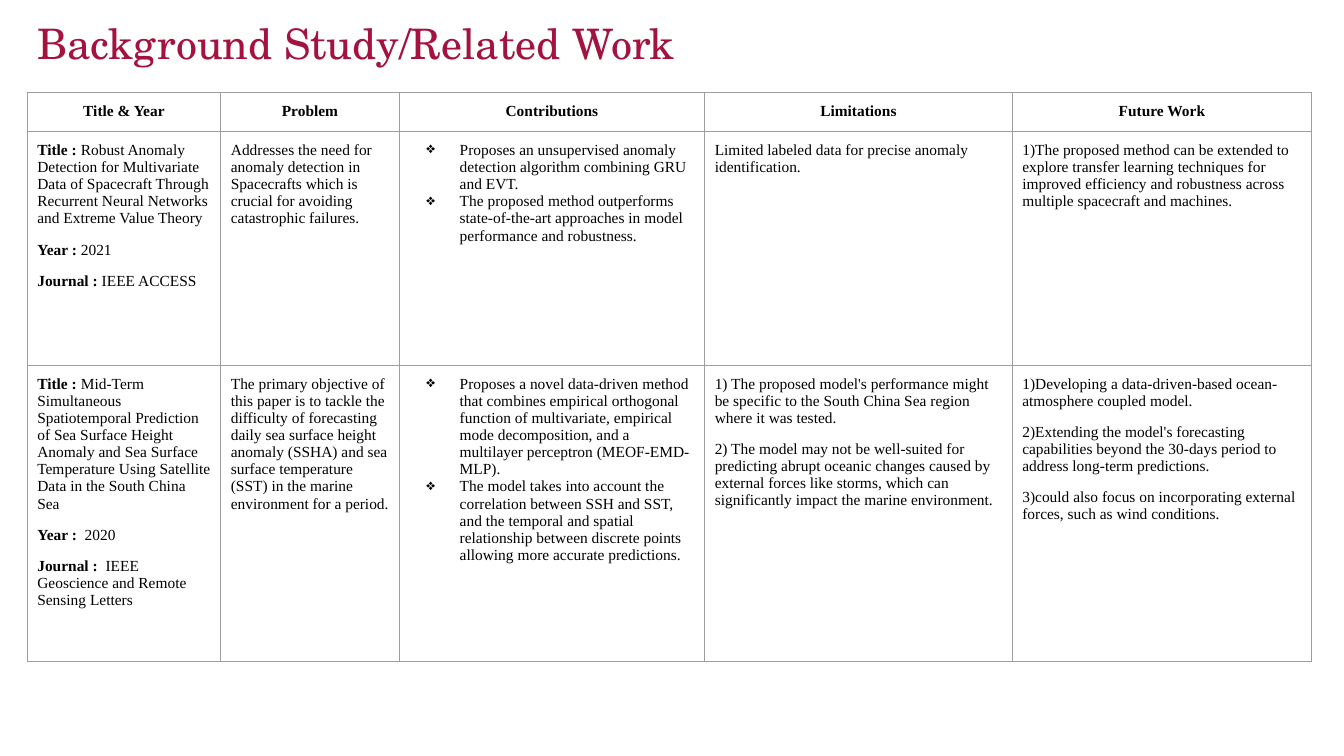
from dataclasses import dataclass

from lxml.etree import SubElement
from pptx import Presentation
from pptx.dml.color import RGBColor
from pptx.enum.text import MSO_ANCHOR as Anchor, PP_ALIGN as Align
from pptx.oxml.ns import qn
from pptx.util import Emu, Pt

PX = 9144
CRIMSON = RGBColor(0xA4, 0x12, 0x3F)
BLACK = RGBColor(0x00, 0x00, 0x00)
GREY = RGBColor(0x9E, 0x9E, 0x9E)
TITLE_FONT = "TeX Gyre Schola"
TABLE_FONT = "Times New Roman"
COLUMN_WIDTHS = (192, 177, 303, 305, 297)
ROW_HEIGHTS = (38, 232, 294)
HEADERS = ("Title & Year", "Problem", "Contributions", "Limitations", "Future Work")


@dataclass(frozen=True)
class Study:
    """One reviewed paper, which fills one row of the table."""
    reference: tuple[tuple[str, str], ...]
    problem: str
    contributions: tuple[str, ...]
    limitations: tuple[str, ...]
    future_work: tuple[str, ...]


STUDIES = (
    Study(
        (("Title : ", "Robust Anomaly Detection for Multivariate Data of Spacecraft Through "
          "Recurrent Neural Networks and Extreme Value Theory"),
         ("Year : ", "2021"),
         ("Journal : ", "IEEE ACCESS")),
        "Addresses the need for anomaly detection in Spacecrafts which is crucial for "
        "avoiding catastrophic failures.",
        ("Proposes an unsupervised anomaly detection algorithm combining GRU and EVT.",
         "The proposed method outperforms state-of-the-art approaches in model "
         "performance and robustness."),
        ("Limited labeled data for precise anomaly identification.",),
        ("1)The proposed method can be extended to explore transfer learning techniques for "
         "improved efficiency and robustness across multiple spacecraft and machines.",),
    ),
    Study(
        (("Title : ", "Mid-Term Simultaneous Spatiotemporal Prediction of Sea Surface Height "
          "Anomaly and Sea Surface Temperature Using Satellite Data in the South China Sea"),
         ("Year :  ", "2020"),
         ("Journal :  ", "IEEE Geoscience and Remote Sensing Letters")),
        "The primary objective of this paper is to tackle the difficulty of forecasting "
        "daily sea surface height anomaly (SSHA) and sea surface temperature (SST) in the "
        "marine environment for a period.",
        ("Proposes a novel data-driven method that combines empirical orthogonal function of "
         "multivariate, empirical mode decomposition, and a multilayer perceptron "
         "(MEOF-EMD-MLP).",
         "The model takes into account the correlation between SSH and SST, and the temporal "
         "and spatial relationship between discrete points allowing more accurate "
         "predictions."),
        ("1) The proposed model's performance might be specific to the South China Sea region "
         "where it was tested.",
         "2) The model may not be well-suited for predicting abrupt oceanic changes caused by "
         "external forces like storms, which can significantly impact the marine "
         "environment."),
        ("1)Developing a data-driven-based ocean- atmosphere coupled model.",
         "2)Extending the model's forecasting capabilities beyond the 30-days period to "
         "address long-term predictions.",
         "3)could also focus on incorporating external forces, such as wind conditions."),
    ),
)


def px(length: int) -> Emu:
    """Turn px into EMU."""
    return Emu(length * PX)


def style_font(para, name: str, size: int, colour: RGBColor) -> None:
    """Set the font that all runs of a paragraph share."""
    para.font.name = name
    para.font.size = Pt(size)
    para.font.color.rgb = colour


def add_bullet(para) -> None:
    """Give a paragraph a hanging diamond bullet."""
    properties = para._p.get_or_add_pPr()
    properties.set("marL", str(px(50)))
    properties.set("indent", str(-px(33)))
    colour = SubElement(properties, qn("a:buClr"))
    SubElement(colour, qn("a:srgbClr"), val=str(BLACK))
    SubElement(properties, qn("a:buChar"), char="❖")


def frame_cell(cell) -> None:
    """Set the margins, borders and empty fill of a cell."""
    cell.margin_left = cell.margin_right = px(10)
    cell.margin_top = cell.margin_bottom = px(10)
    properties = cell._tc.get_or_add_tcPr()
    for side in ("L", "R", "T", "B"):
        line = SubElement(properties, qn(f"a:ln{side}"), w=str(Pt(0.75)))
        fill = SubElement(line, qn("a:solidFill"))
        SubElement(fill, qn("a:srgbClr"), val=str(GREY))
    cell.fill.background()


def write_cell(cell, entries: tuple[tuple[str, str], ...], gap: int = 10,
               bulleted: bool = False):
    """Write one paragraph for each pair of bold label and plain text."""
    frame_cell(cell)
    frame = cell.text_frame
    for index, (label, text) in enumerate(entries):
        para = frame.add_paragraph() if index else frame.paragraphs[0]
        if bulleted:
            add_bullet(para)
        if index and gap:
            para.space_before = Pt(gap)
        style_font(para, TABLE_FONT, 11, BLACK)
        for content, bold in ((label, True), (text, False)):
            if content:
                span = para.add_run()
                span.text = content
                span.font.bold = bold


def unlabelled(*texts: str) -> tuple[tuple[str, str], ...]:
    """Pair each text with an empty label."""
    return tuple(("", text) for text in texts)


def add_title(page) -> None:
    """Add the slide title."""
    box = page.shapes.add_textbox(px(27), px(23), px(1150), px(46))
    frame = box.text_frame
    frame.word_wrap = True
    frame.vertical_anchor = Anchor.MIDDLE
    para = frame.paragraphs[0]
    para.text = "Background Study/Related Work"
    para.line_spacing = 0.9
    style_font(para, TITLE_FONT, 30, CRIMSON)


def add_study_table(page) -> None:
    """Add the table that compares the studies."""
    table = page.shapes.add_table(
        len(ROW_HEIGHTS), len(COLUMN_WIDTHS), px(27), px(92),
        px(sum(COLUMN_WIDTHS)), px(sum(ROW_HEIGHTS))).table
    table.first_row = table.horz_banding = False
    for column, width in zip(table.columns, COLUMN_WIDTHS):
        column.width = px(width)
    for row, height in zip(table.rows, ROW_HEIGHTS):
        row.height = px(height)
    for cell, header in zip(table.rows[0].cells, HEADERS):
        write_cell(cell, ((header, ""),))
        para = cell.text_frame.paragraphs[0]
        para.alignment = Align.CENTER
        para.space_after = Pt(10)
    for index, study in enumerate(STUDIES, start=1):
        reference, problem, contributions, limitations, future_work = table.rows[index].cells
        write_cell(reference, study.reference)
        write_cell(problem, unlabelled(study.problem))
        write_cell(contributions, unlabelled(*study.contributions), gap=0, bulleted=True)
        write_cell(limitations, unlabelled(*study.limitations))
        write_cell(future_work, unlabelled(*study.future_work))


def main() -> None:
    """Build and save the deck."""
    deck = Presentation()
    deck.slide_width, deck.slide_height = px(1333), px(750)
    page = deck.slides.add_slide(deck.slide_layouts[6])
    add_title(page)
    add_study_table(page)
    deck.save("out.pptx")


if __name__ == "__main__":
    main()
